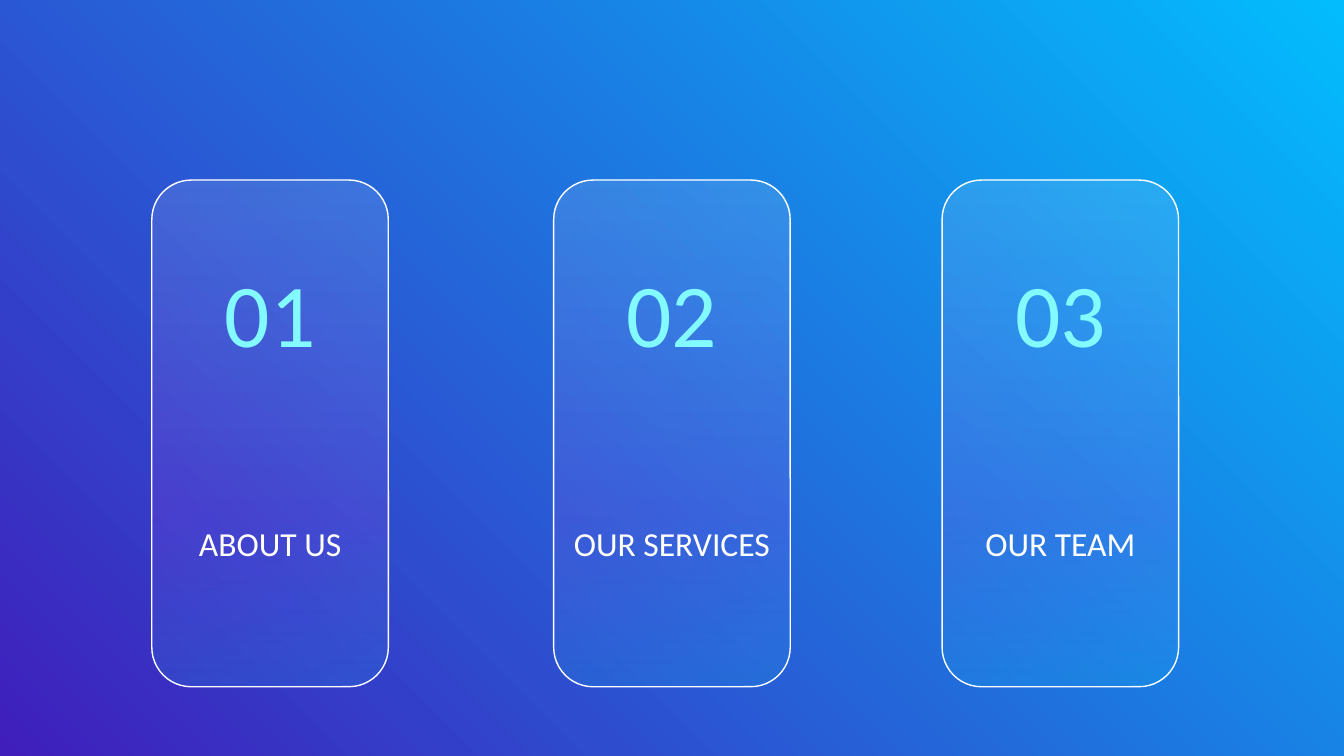
from lxml import etree
from pptx import Presentation, util as u
from pptx.dml.color import RGBColor
from pptx.enum import shapes, text
from pptx.oxml.ns import qn

SECTIONS = [  # number, heading, left edge of the card
    ("01", "ABOUT US", 1.13),
    ("02", "OUR SERVICES", 4.12),
    ("03", "OUR TEAM", 7.01),
]

THEME = {
    "font": "Calibri",
    "number": (48, "83FAFF"),
    "heading": (18, "FFFFFF"),
    "outline": "FFFFFF",
    "backdrop": [(0, "401EBB", 100), (100, "02BCFD", 100)],
    "glass": [(0, "FFFFFF", 11), (66, "E354F7", 11), (100, "10ECFF", 11)],
}

SLIDE_W = 10
SLIDE_H = SLIDE_W * 9 / 16
CARD_TOP, CARD_W, CARD_H = 1.34, 1.76, 3.77
NUMBER_BOX = (1.66, 1.55, 1.16)  # top, width, height
HEADING_BOX = (3.65, 1.71, 0.64)


def paint_gradient(owner, fill, stops, angle):
    """Fill with (position %, colour, opacity %) stops; angle runs clockwise."""
    fill.gradient()
    gradient = owner.element.xpath(".//a:gradFill")[0]
    for child in list(gradient):
        gradient.remove(child)
    stop_list = etree.SubElement(gradient, qn("a:gsLst"))
    for position, colour, opacity in stops:
        stop = etree.SubElement(stop_list, qn("a:gs"), pos=str(position * 1000))
        tint = etree.SubElement(stop, qn("a:srgbClr"), val=colour)
        if opacity < 100:
            etree.SubElement(tint, qn("a:alpha"), val=str(opacity * 1000))
    etree.SubElement(gradient, qn("a:lin"), ang=str(angle * 60000), scaled="0")


def add_card(slide, left):
    card = slide.shapes.add_shape(
        shapes.MSO_SHAPE.ROUNDED_RECTANGLE,
        *map(u.Inches, (left, CARD_TOP, CARD_W, CARD_H)))
    card.shadow.inherit = False
    paint_gradient(card, card.fill, THEME["glass"], 90)
    card.line.color.rgb = RGBColor.from_string(THEME["outline"])
    card.line.width = u.Pt(0.75)


def add_label(slide, words, center, box, style):
    top, width, height = box
    label = slide.shapes.add_textbox(
        *map(u.Inches, (center - width / 2, top, width, height)))
    frame = label.text_frame
    frame.text = words
    frame.word_wrap = True
    frame.vertical_anchor = text.MSO_ANCHOR.BOTTOM
    frame.margin_left = frame.margin_right = u.Inches(0.1)
    frame.margin_top = frame.margin_bottom = u.Inches(0.1)
    paragraph = frame.paragraphs[0]
    paragraph.alignment = text.PP_ALIGN.CENTER
    size, colour = THEME[style]
    font = paragraph.runs[0].font
    font.name = THEME["font"]
    font.size = u.Pt(size)
    font.color.rgb = RGBColor.from_string(colour)


def main():
    deck = Presentation()
    deck.slide_width, deck.slide_height = u.Inches(SLIDE_W), u.Inches(SLIDE_H)
    slide = deck.slides.add_slide(deck.slide_layouts[6])
    paint_gradient(slide, slide.background.fill, THEME["backdrop"], 315)
    for number, heading, left in SECTIONS:
        center = left + CARD_W / 2
        add_card(slide, left)
        add_label(slide, number, center, NUMBER_BOX, "number")
        add_label(slide, heading, center, HEADING_BOX, "heading")
    deck.save("out.pptx")


if __name__ == "__main__":
    main()
